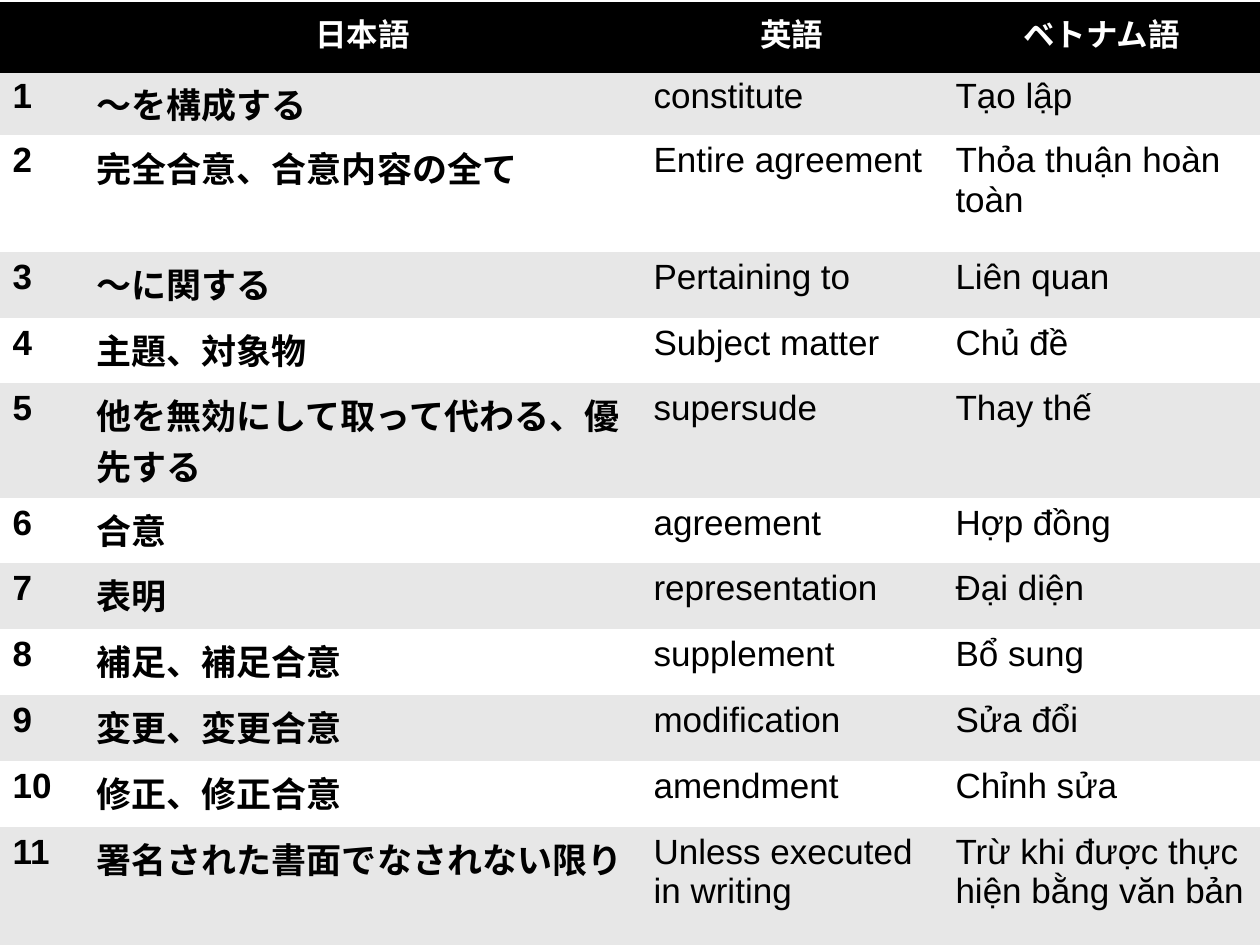
from lxml.etree import SubElement
from pptx import Presentation
from pptx.dml.color import RGBColor
from pptx.enum.text import PP_ALIGN
from pptx.oxml.ns import qn
from pptx.util import Pt

PX = 914400 // 126
BLACK = RGBColor(0x00, 0x00, 0x00)
WHITE = RGBColor(0xFF, 0xFF, 0xFF)
GREY = RGBColor(0xE7, 0xE7, 0xE7)
NO_GRID_STYLE = "{2D5ABB26-0587-4C30-8999-92F81FD0307C}"

HEADINGS = ("", "日本語", "英語", "ベトナム語")
TERMS = [
    ("～を構成する", "constitute", "Tạo lập"),
    ("完全合意、合意内容の全て", "Entire agreement", "Thỏa thuận hoàn toàn"),
    ("～に関する", "Pertaining to", "Liên quan"),
    ("主題、対象物", "Subject matter", "Chủ đề"),
    ("他を無効にして取って代わる、優先する", "supersude", "Thay thế"),
    ("合意", "agreement", "Hợp đồng"),
    ("表明", "representation", "Đại diện"),
    ("補足、補足合意", "supplement", "Bổ sung"),
    ("変更、変更合意", "modification", "Sửa đổi"),
    ("修正、修正合意", "amendment", "Chỉnh sửa"),
    ("署名された書面でなされない限り", "Unless executed in writing",
     "Trừ khi được thực hiện bằng văn bản"),
]
COLUMN_WIDTHS = (84, 557, 302, 317)
ROW_HEIGHTS = (67, 64, 117, 66, 65, 115, 65, 66, 66, 66, 66, 120)
HEADING_FONT = {"name": "Calibri", "size": Pt(18), "bold": True}
TERM_FONT = {"name": "Arial", "size": Pt(20)}


def add_border(cell, side):
    line = SubElement(cell._tc.get_or_add_tcPr(), qn(f"a:{side}"), w=str(Pt(2)))
    fill = SubElement(line, qn("a:solidFill"))
    SubElement(fill, qn("a:srgbClr"), val=str(BLACK))


prs = Presentation()
prs.slide_width, prs.slide_height = 1260 * PX, 945 * PX
slide = prs.slides.add_slide(prs.slide_layouts[6])

# Glossary table without a built-in style
rows = [HEADINGS] + [(str(n), *term) for n, term in enumerate(TERMS, 1)]
frame = slide.shapes.add_table(len(rows), len(HEADINGS), 0, 4 * PX,
                               sum(COLUMN_WIDTHS) * PX, sum(ROW_HEIGHTS) * PX)
glossary = frame.table
glossary.horz_banding = False
for style in frame.element.iter(qn("a:tableStyleId")):
    style.text = NO_GRID_STYLE
for column, width in zip(glossary.columns, COLUMN_WIDTHS):
    column.width = width * PX
for row, height in zip(glossary.rows, ROW_HEIGHTS):
    row.height = height * PX

# Wording, bands and rules
for r, words in enumerate(rows):
    heading = r == 0
    band = BLACK if heading else GREY if r % 2 else WHITE
    for c, word in enumerate(words):
        cell = glossary.cell(r, c)
        if heading:
            add_border(cell, "lnT")
        if heading or r == len(rows) - 1:
            add_border(cell, "lnB")
        cell.fill.solid()
        cell.fill.fore_color.rgb = band
        if not word:
            continue
        paragraph = cell.text_frame.paragraphs[0]
        paragraph.alignment = PP_ALIGN.CENTER if heading else PP_ALIGN.LEFT
        run = paragraph.add_run()
        run.text = word
        font_values = HEADING_FONT if heading else {**TERM_FONT, "bold": c < 2}
        for key, value in font_values.items():
            setattr(run.font, key, value)
        run.font.color.rgb = WHITE if heading else BLACK

prs.save("out.pptx")
